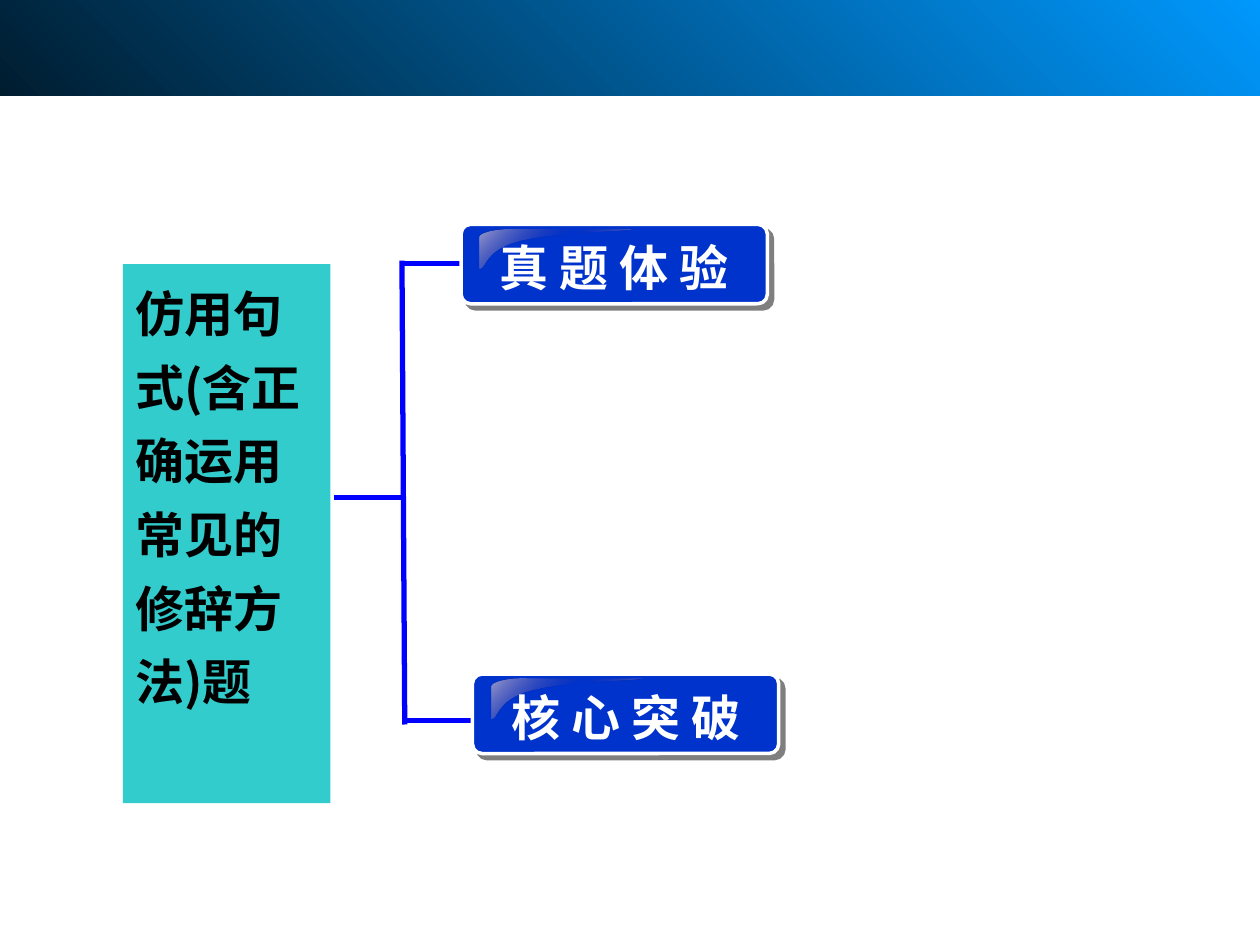
"""Build a topic slide with a panel branching to two glossy buttons."""
from lxml.etree import SubElement
from pptx import Presentation
from pptx.dml.color import RGBColor
from pptx.enum.shapes import MSO_CONNECTOR, MSO_SHAPE
from pptx.enum.text import MSO_ANCHOR, MSO_AUTO_SIZE, PP_ALIGN
from pptx.oxml.ns import qn
from pptx.util import Pt

HUES = {
    "panel": "33CCCC", "line": "0000FF", "button": "0033CC",
    "sky": "0099FF", "night": "001D30", "gloss": "9B9BCC",
    "clear": "333399", "white": "FFFFFF", "black": "000000",
}
CJK = "Noto Sans CJK SC"
CURVES = [
    [(17.3, 0), (7.9, 0), (0, 2.2), (0, 4.6)],
    [(0, 22.3), (4.3, 23), (2.2, 11.5), (23.8, 6.5)],
    [(23.8, 6.5), (45.4, 1.4), (87.1, 1.4), (86.4, 0)],
]


def hue(name):
    return RGBColor.from_string(HUES[name])


def add_hue(node, name, alpha=100):
    item = SubElement(node, qn("a:srgbClr"), val=HUES[name])
    if alpha < 100:
        SubElement(item, qn("a:alpha"), val=str(alpha * 1000))


def shade(shape, stops, angle):
    shape.fill.gradient()
    grad = shape._element.spPr.find(qn("a:gradFill"))
    grad.clear()
    grad.set("rotWithShape", "1")
    group = SubElement(grad, qn("a:gsLst"))
    for place, name, alpha in stops:
        stop = SubElement(group, qn("a:gs"), pos=str(place * 1000))
        add_hue(stop, name, alpha)
    SubElement(grad, qn("a:lin"), ang=str(angle * 60000), scaled="0")


def add_box(slide, kind, *frame):
    box = slide.shapes.add_shape(kind, *map(Pt, frame))
    box.shadow.inherit = False
    box.line.fill.background()
    return box


def add_line(slide, *ends):
    line = slide.shapes.add_connector(MSO_CONNECTOR.STRAIGHT, *map(Pt, ends))
    line.line.color.rgb = hue("line")
    line.line.width = Pt(3)
    SubElement(line._element.spPr, qn("a:effectLst"))


def write(shape, text, face, color, pads, space=None):
    frame = shape.text_frame
    frame.word_wrap = True
    frame.auto_size = MSO_AUTO_SIZE.SHAPE_TO_FIT_TEXT
    (frame.margin_left, frame.margin_top,
     frame.margin_right, frame.margin_bottom) = map(Pt, pads)
    para = frame.paragraphs[0]
    para.alignment = PP_ALIGN.LEFT
    para.line_spacing = space
    run = para.add_run()
    run.text = text
    font = run.font
    font.size, font.bold, font.name = Pt(28), True, face
    font.color.rgb = hue(color)
    SubElement(run._r.get_or_add_rPr(), qn("a:ea"), typeface=CJK)
    return frame


def curve(a, b, c, d, steps=12):
    for i in range(steps + 1):
        t = i / steps
        u = 1 - t
        yield tuple(u**3 * p + 3 * u * u * t * q + 3 * u * t * t * r + t**3 * s
                    for p, q, r, s in zip(a, b, c, d))


def add_gloss(slide, left, top):
    dots = [(Pt(left + x), Pt(top + y))
            for part in CURVES for x, y in curve(*part)]
    pen = slide.shapes.build_freeform(*dots[0])
    pen.add_line_segments(dots[1:], close=True)
    gloss = pen.convert_to_shape()
    gloss.shadow.inherit = False
    gloss.line.fill.background()
    shade(gloss, [(0, "gloss", 100), (50, "clear", 0), (100, "gloss", 100)], 225)


def add_button(slide, left, top, text):
    box = add_box(slide, MSO_SHAPE.ROUNDED_RECTANGLE, left, top, 175, 45.4)
    box.adjustments[0] = 0.12
    box.fill.solid()
    box.fill.fore_color.rgb = hue("button")
    box.line.color.rgb = hue("white")
    box.line.width = Pt(2)
    effect = box._element.spPr.find(qn("a:effectLst"))
    drop = SubElement(effect, qn("a:outerShdw"), blurRad="0",
                      dist=str(Pt(4.2)), dir=str(45 * 60000),
                      algn="ctr", rotWithShape="0")
    add_hue(drop, "black", 50)
    add_gloss(slide, left + 10.8, top + 2.9)
    label = slide.shapes.add_textbox(Pt(left + 15.1), Pt(top + 4), Pt(296), Pt(41))
    frame = write(label, text, "Times New Roman", "white", (7.2, 3.6, 7.2, 3.6))
    frame.vertical_anchor = MSO_ANCHOR.MIDDLE


def add_panel(slide):
    panel = add_box(slide, MSO_SHAPE.RECTANGLE, 70.3, 151, 118.6, 308)
    panel.fill.solid()
    panel.fill.fore_color.rgb = hue("panel")
    frame = write(panel, "仿用句式(含正确运用常见的修辞方法)题", CJK, "black",
                  (7.2, 2.9, 7.2, 11.5), 1.25)
    frame.vertical_anchor = MSO_ANCHOR.TOP


def main():
    deck = Presentation()
    deck.slide_width, deck.slide_height = Pt(720), Pt(540)
    slide = deck.slides.add_slide(deck.slide_layouts[6])
    add_panel(slide)
    band = add_box(slide, MSO_SHAPE.RECTANGLE, 0, -7.9, 720, 62.7)
    shade(band, [(0, "sky", 100), (100, "night", 100)], 135)
    add_line(slide, 190.8, 284.2, 229, 284.2)
    add_line(slide, 229.7, 149, 231.3, 414)
    for left, top, start, mid, text in (
        (263.5, 128.2, 231, 150.6, "真 题 体 验"),
        (270, 385.2, 231.8, 411.6, "核 心 突 破"),
    ):
        add_line(slide, start, mid, start + 38.2, mid)
        add_button(slide, left, top, text)
    deck.save("out.pptx")


if __name__ == "__main__":
    main()
